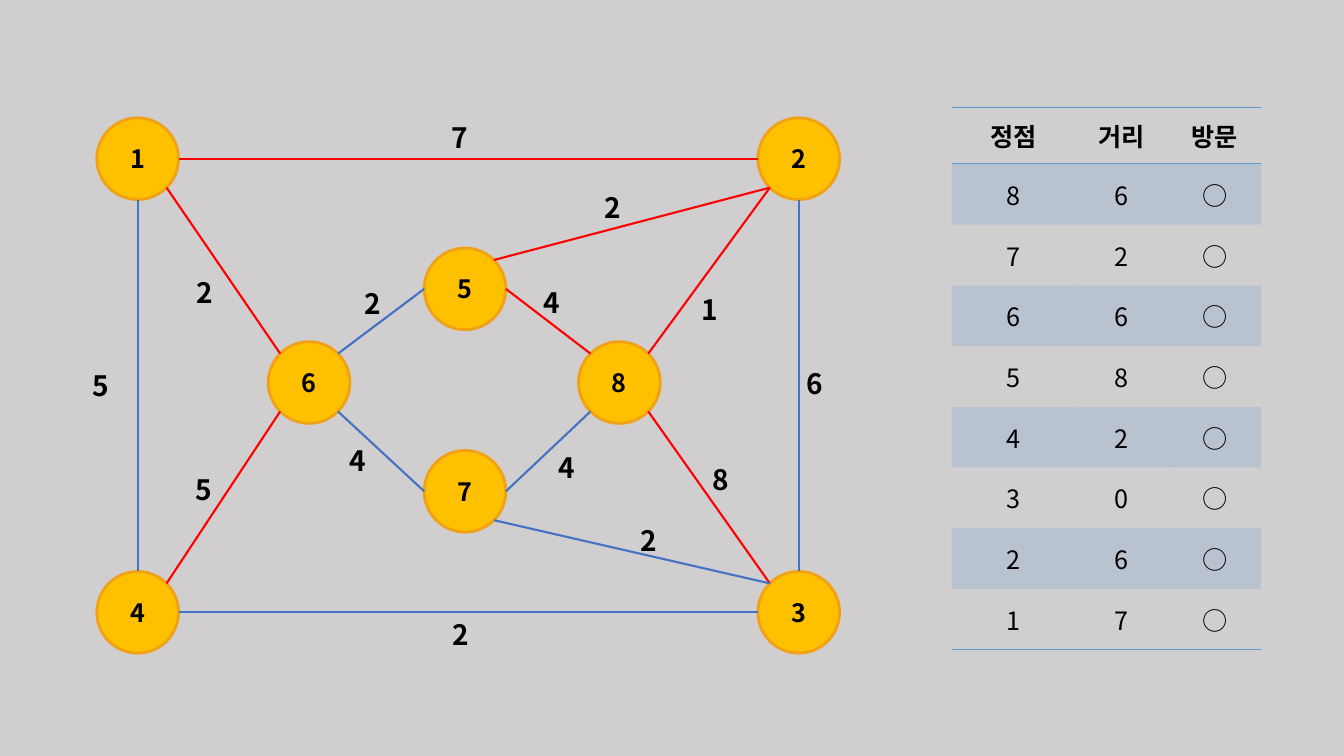
"""Build a slide with a weighted graph and its table of vertices and distances."""
from math import cos, radians, sin

from lxml.etree import SubElement
from pptx import Presentation
from pptx.dml.color import RGBColor
from pptx.enum.shapes import MSO_CONNECTOR as Connector, MSO_SHAPE as Shape
from pptx.enum.text import MSO_ANCHOR as Anchor, MSO_AUTO_SIZE as AutoSize, PP_ALIGN as Align
from pptx.oxml.ns import qn
from pptx.util import Cm, Pt

FONT = "Noto Sans CJK KR"
BLACK, BACKGROUND = "000000", "D0CECE"
NODE_FILL, NODE_LINE = "FFC000", "F1A116"
RED, BLUE, TABLE_BLUE = "FF0000", "4472C4", "5B9BD5"
PLAIN_TABLE_STYLE = "{2D5ABB26-0587-4C30-8999-92F81FD0307C}"
DIAMETER = 2.06

TOP, TOP_LEFT, LEFT, BOTTOM_LEFT, BOTTOM, BOTTOM_RIGHT, RIGHT, TOP_RIGHT = range(8)

NODE_CENTRES = {
    1: (3.47, 4.0), 2: (20.13, 4.0), 4: (3.47, 15.43), 3: (20.13, 15.43),
    5: (11.72, 7.28), 7: (11.72, 12.38), 8: (15.61, 9.64), 6: (7.79, 9.64),
}

EDGES = [
    (1, RIGHT, 2, LEFT, RED, "7", 11.13, 2.9),
    (1, BOTTOM_RIGHT, 6, TOP_LEFT, RED, "2", 4.7, 6.83),
    (4, TOP_RIGHT, 6, BOTTOM_LEFT, RED, "5", 4.67, 11.79),
    (4, TOP, 1, BOTTOM, BLUE, "5", 2.08, 9.17),
    (4, RIGHT, 3, LEFT, BLUE, "2", 11.15, 15.44),
    (6, BOTTOM_RIGHT, 7, LEFT, BLUE, "4", 8.56, 11.05),
    (6, TOP_RIGHT, 5, LEFT, BLUE, "2", 8.94, 7.09),
    (5, RIGHT, 8, TOP_LEFT, RED, "4", 13.46, 7.06),
    (8, BOTTOM_RIGHT, 3, TOP_LEFT, RED, "8", 17.7, 11.53),
    (8, TOP_RIGHT, 2, BOTTOM_LEFT, RED, "1", 17.42, 7.24),
    (3, TOP, 2, BOTTOM, BLUE, "6", 20.07, 9.12),
    (7, RIGHT, 8, BOTTOM_LEFT, BLUE, "4", 13.82, 11.23),
    (5, TOP_RIGHT, 2, BOTTOM_LEFT, RED, "2", 14.99, 4.67),
    (7, BOTTOM_RIGHT, 3, TOP_LEFT, BLUE, "2", 15.9, 13.06),
]

HEADINGS = ("정점", "거리", "방문")
DISTANCES = {8: 6, 7: 2, 6: 6, 5: 8, 4: 2, 3: 0, 2: 6, 1: 7}


def colour(value):
    return RGBColor.from_string(value)


def write_text(frame, text, size=18, bold=True, align=Align.CENTER):
    paragraph = frame.paragraphs[0]
    paragraph.alignment = align
    run = paragraph.add_run()
    run.text = text
    run.font.name = FONT
    run.font.size = Pt(size)
    run.font.bold = bold
    run.font.color.rgb = colour(BLACK)
    SubElement(run.font._element, qn("a:ea"), typeface=FONT)


def add_node(slide, number):
    x, y = NODE_CENTRES[number]
    shape = slide.shapes.add_shape(
        Shape.OVAL, Cm(x - DIAMETER / 2), Cm(y - DIAMETER / 2), Cm(DIAMETER), Cm(DIAMETER))
    shape.shadow.inherit = False
    shape.fill.solid()
    shape.fill.fore_color.rgb = colour(NODE_FILL)
    shape.line.color.rgb = colour(NODE_LINE)
    shape.line.width = Pt(2)
    shape.text_frame.vertical_anchor = Anchor.MIDDLE
    write_text(shape.text_frame, str(number))
    return shape


def site_point(number, site):
    x, y = NODE_CENTRES[number]
    angle = radians(90 + 45 * site)
    return Cm(x + DIAMETER / 2 * cos(angle)), Cm(y - DIAMETER / 2 * sin(angle))


def add_edge(slide, nodes, start, start_site, end, end_site, line_colour):
    connector = slide.shapes.add_connector(
        Connector.STRAIGHT, *site_point(start, start_site), *site_point(end, end_site))
    connector.line.color.rgb = colour(line_colour)
    connector.line.width = Pt(1.5)
    SubElement(connector._element.spPr, qn("a:effectLst"))
    joints = connector._element.nvCxnSpPr.cNvCxnSpPr
    for tag, number, site in (("a:stCxn", start, start_site), ("a:endCxn", end, end_site)):
        SubElement(joints, qn(tag), id=str(nodes[number].shape_id), idx=str(site))


def add_weight(slide, text, left, top):
    frame = slide.shapes.add_textbox(Cm(left), Cm(top), Cm(0.91), Cm(1.12)).text_frame
    frame.word_wrap = False
    frame.auto_size = AutoSize.SHAPE_TO_FIT_TEXT
    write_text(frame, text, size=20, align=Align.LEFT)


def add_border(cell, tag):
    line = SubElement(cell._tc.get_or_add_tcPr(), qn(tag), w=str(Pt(1)))
    fill = SubElement(line, qn("a:solidFill"))
    SubElement(fill, qn("a:srgbClr"), val=TABLE_BLUE)


def tint_cell(cell):
    cell.fill.solid()
    cell.fill.fore_color.rgb = colour(TABLE_BLUE)
    tint = cell._tc.tcPr.find(".//" + qn("a:srgbClr"))
    SubElement(tint, qn("a:alpha"), val="20000")


def add_distance_table(slide):
    rows = [HEADINGS] + [(str(vertex), str(distance), "○")
                         for vertex, distance in DISTANCES.items()]
    last = len(rows) - 1
    table = slide.shapes.add_table(
        len(rows), len(HEADINGS), Cm(23.98), Cm(2.71), Cm(7.8), Cm(13.61)).table
    table.horz_banding = False
    table._tbl.tblPr.find(qn("a:tableStyleId")).text = PLAIN_TABLE_STYLE
    for column, width in zip(table.columns, (3.12, 2.34, 2.34)):
        column.width = Cm(width)
    for index, values in enumerate(rows):
        table.rows[index].height = Cm(1.53 if index else 1.42)
        for cell, text in zip(table.rows[index].cells, values):
            cell.vertical_anchor = Anchor.MIDDLE
            write_text(cell.text_frame, text, bold=index == 0)
            if index == 0:
                add_border(cell, "a:lnT")
            if index in (0, last):
                add_border(cell, "a:lnB")
            if index % 2:
                tint_cell(cell)
            else:
                cell.fill.background()


def main():
    presentation = Presentation()
    presentation.slide_width, presentation.slide_height = Cm(33.87), Cm(19.05)
    slide = presentation.slides.add_slide(presentation.slide_layouts[6])
    slide.background.fill.solid()
    slide.background.fill.fore_color.rgb = colour(BACKGROUND)
    add_distance_table(slide)
    nodes = {number: add_node(slide, number) for number in NODE_CENTRES}
    for *ends, line_colour, weight, left, top in EDGES:
        add_edge(slide, nodes, *ends, line_colour)
        add_weight(slide, weight, left, top)
    presentation.save("out.pptx")


if __name__ == "__main__":
    main()
